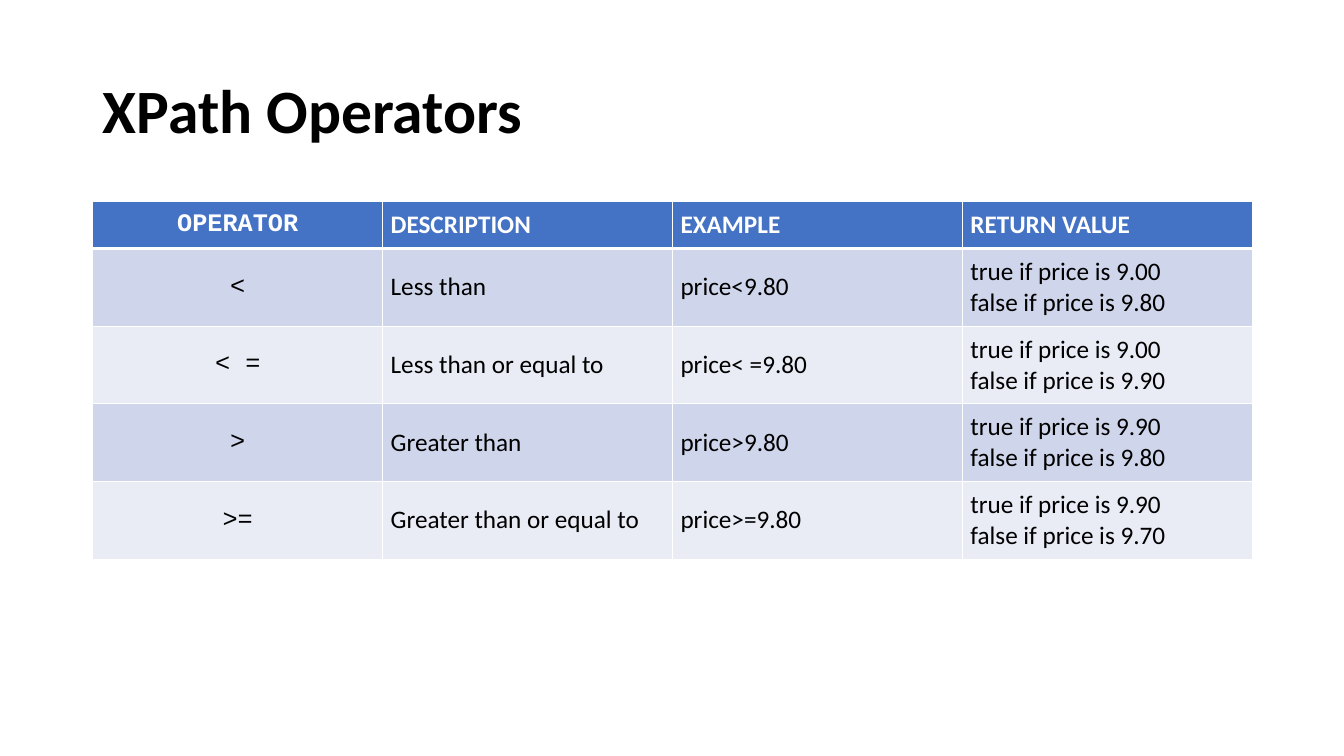
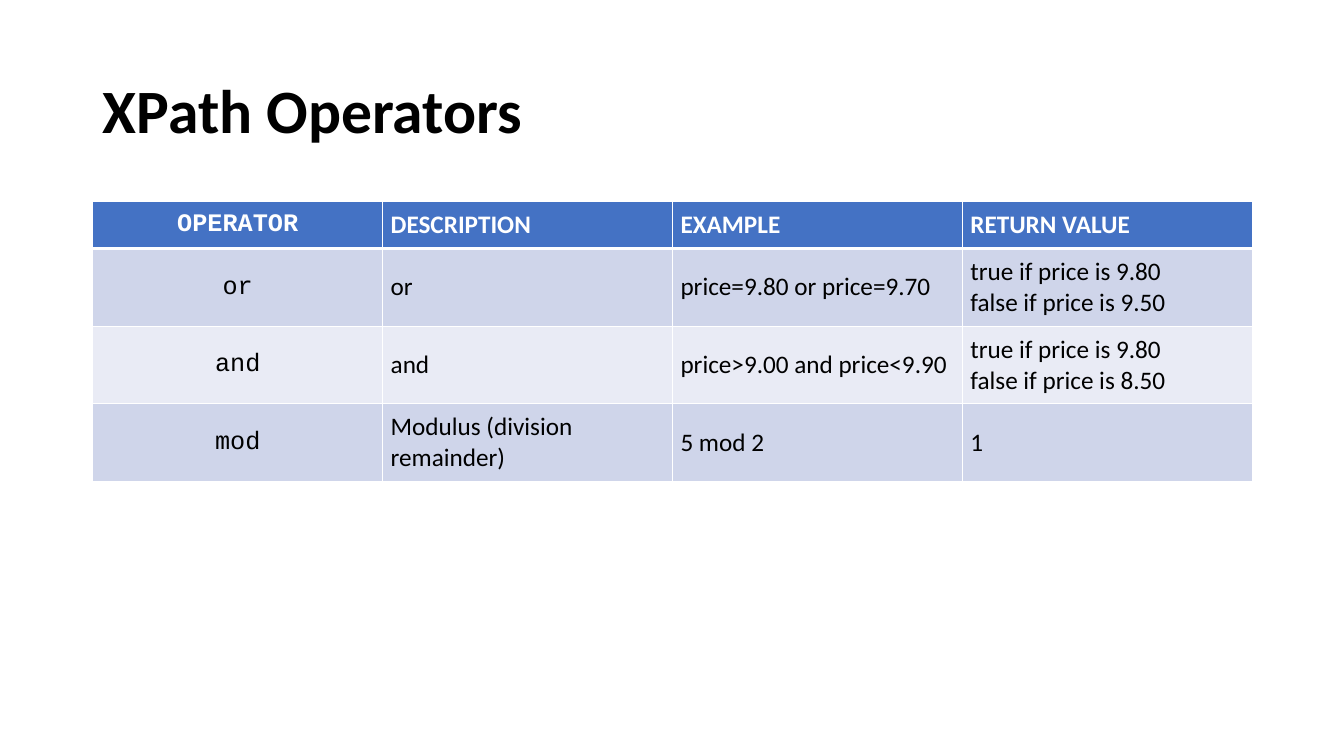
from dataclasses import dataclass

from lxml.etree import SubElement as Sub
from pptx import Presentation
from pptx.dml.color import RGBColor as Rgb
from pptx.enum.text import MSO_ANCHOR as Anchor, MSO_AUTO_SIZE as Fit, PP_ALIGN as Align
from pptx.oxml.ns import qn
from pptx.presentation import Presentation as Deck
from pptx.slide import Slide
from pptx.table import _Cell as Cell
from pptx.text.text import _Paragraph as Para
from pptx.util import Inches, Pt

COLORS = {
    "text": "000000",
    "paper": "FFFFFF",
    "head": "4472C4",
    "odd": "CFD5EA",
    "even": "E9EBF5",
}
SANS, MONO = "Calibri", "Courier New"
TITLE = "XPath Operators"
HEAD = ("OPERATOR", "DESCRIPTION", "EXAMPLE", "RETURN VALUE")
LEFT, WIDTH = Inches(0.92), Inches(11.5)
PAD = Inches(0.08)


@dataclass(frozen=True)
class Op:
    """One operator and what it does."""

    sign: str
    about: str
    sample: str
    result: tuple[str, ...]

    def cells(self) -> tuple[str, ...]:
        """Return the cell texts from left to right."""
        return self.sign, self.about, self.sample, "\n".join(self.result)


def truth(yes: str, no: str) -> tuple[str, str]:
    """Return the two lines on when a test is true or false."""
    return f"true if price is {yes}", f"false if price is {no}"


PAGES = (
    (
        Op("<", "Less than", "price<9.80", truth("9.00", "9.80")),
        Op("< =", "Less than or equal to", "price< =9.80", truth("9.00", "9.90")),
        Op(">", "Greater than", "price>9.80", truth("9.90", "9.80")),
        Op(">=", "Greater than or equal to", "price>=9.80", truth("9.90", "9.70")),
    ),
    (
        Op("or", "or", "price=9.80 or price=9.70", truth("9.80", "9.50")),
        Op("and", "and", "price>9.00 and price<9.90", truth("9.80", "8.50")),
        Op("mod", "Modulus (division remainder)", "5 mod 2", ("1",)),
    ),
)


def add_run(para: Para, text: str, size: int, color: str,
            face: str = SANS, bold: bool = False) -> None:
    """Add one formatted run to a paragraph."""
    run = para.add_run()
    run.text = text
    font = run.font
    font.size, font.name, font.bold = Pt(size), face, bold
    font.color.rgb = Rgb.from_string(COLORS[color])


def add_title(slide: Slide) -> None:
    """Place and fill the title."""
    shape = slide.shapes.title
    shape.left, shape.top = LEFT, Inches(0.4)
    shape.width, shape.height = WIDTH, Inches(1.45)
    frame = shape.text_frame
    frame.auto_size = Fit.NONE
    frame.word_wrap = True
    frame.vertical_anchor = Anchor.MIDDLE
    para = frame.paragraphs[0]
    para.alignment, para.line_spacing = Align.LEFT, 0.9
    add_run(para, TITLE, 44, "text", bold=True)


def add_edges(cell: Cell, row: int) -> None:
    """Draw white cell borders, with a thick rule below the header."""
    props = cell._tc.get_or_add_tcPr()
    widths = {"L": 1, "R": 1, "T": 3 if row == 1 else 1, "B": 1 if row else 3}
    for side, width in widths.items():
        line = Sub(props, qn(f"a:ln{side}"), w=str(Pt(width)))
        fill = Sub(line, qn("a:solidFill"))
        Sub(fill, qn("a:srgbClr"), val=COLORS["paper"])


def fill_cell(cell: Cell, text: str, row: int, col: int) -> None:
    """Format one cell and write its text."""
    add_edges(cell, row)
    shade = "head" if row == 0 else "odd" if row % 2 else "even"
    cell.fill.solid()
    cell.fill.fore_color.rgb = Rgb.from_string(COLORS[shade])
    cell.vertical_anchor = Anchor.MIDDLE
    cell.margin_left = cell.margin_right = PAD
    cell.margin_top = cell.margin_bottom = PAD
    para = cell.text_frame.paragraphs[0]
    para.alignment = Align.LEFT if col else Align.CENTER
    for num, part in enumerate(text.split("\n")):
        if num:
            para.add_line_break()
        add_run(para, part, 18, "text" if row else "paper",
                SANS if col else MONO, row == 0)


def add_grid(slide: Slide, ops: tuple[Op, ...]) -> None:
    """Add the table of operators."""
    rows = (HEAD, *(op.cells() for op in ops))
    tall = Inches(0.49 + 0.76 * len(ops))
    frame = slide.shapes.add_table(len(rows), len(HEAD), LEFT, Inches(2), WIDTH, tall)
    table = frame.table
    table.horz_banding = False
    for row, texts in enumerate(rows):
        table.rows[row].height = Inches(0.41)
        for col, text in enumerate(texts):
            fill_cell(table.cell(row, col), text, row, col)
    frame.height = tall


def add_page(deck: Deck, ops: tuple[Op, ...]) -> None:
    """Add a slide with the title and one table."""
    slide = deck.slides.add_slide(deck.slide_layouts.get_by_name("Title Only"))
    add_title(slide)
    add_grid(slide, ops)


def main() -> None:
    """Build and save the deck."""
    deck = Presentation()
    deck.slide_width, deck.slide_height = Inches(13.33), Inches(7.5)
    for ops in PAGES:
        add_page(deck, ops)
    deck.save("out.pptx")


main()
